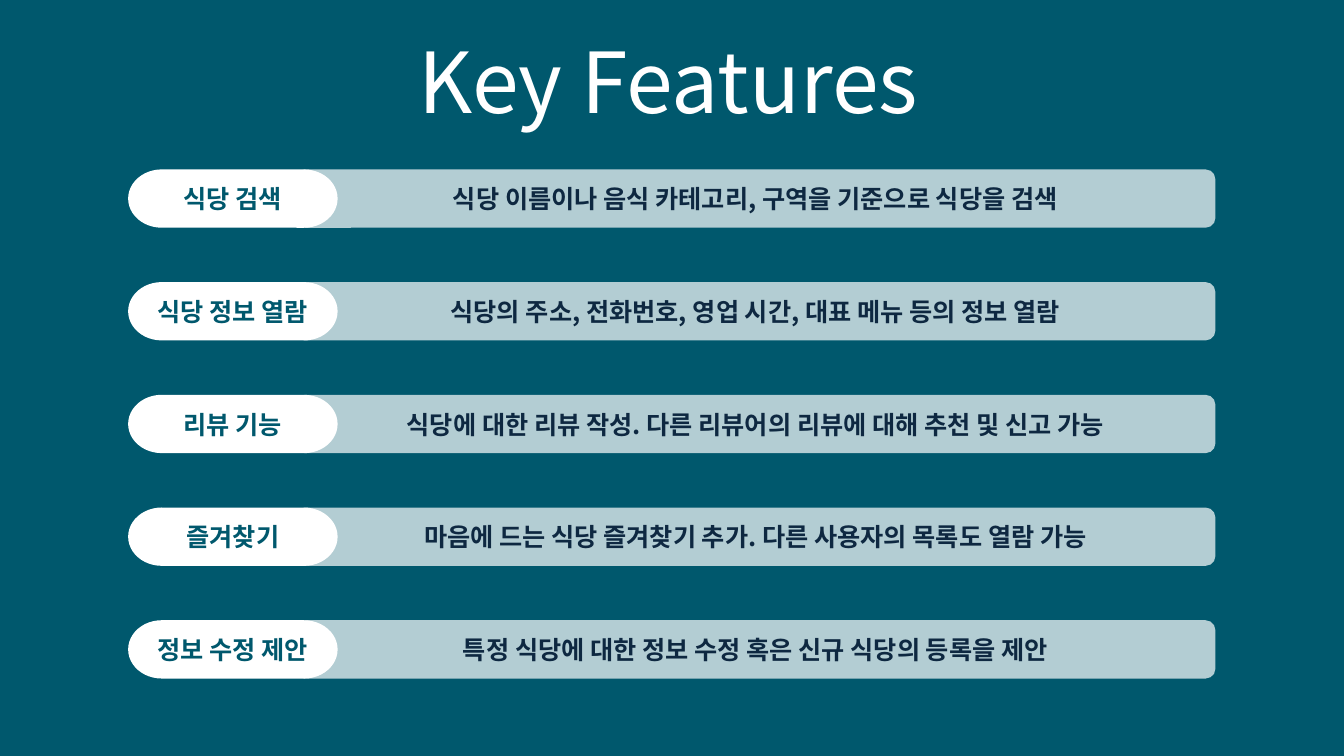
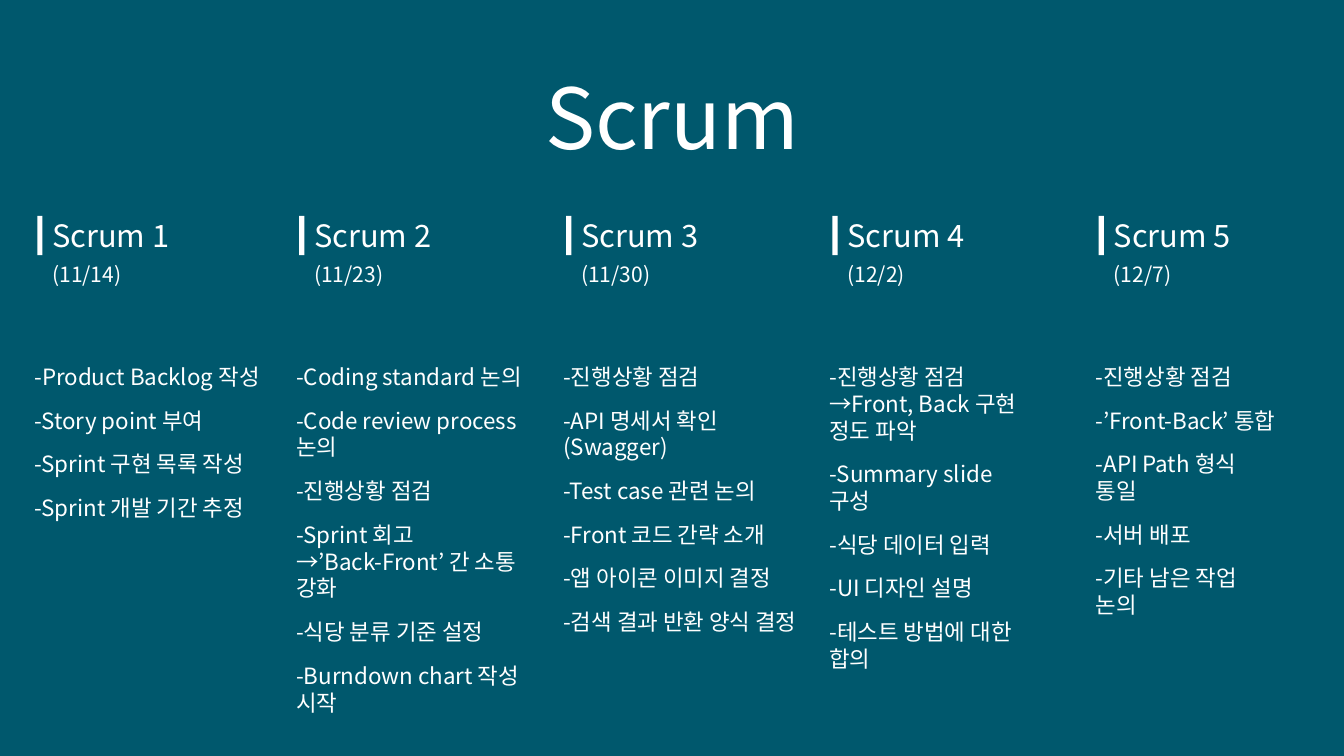
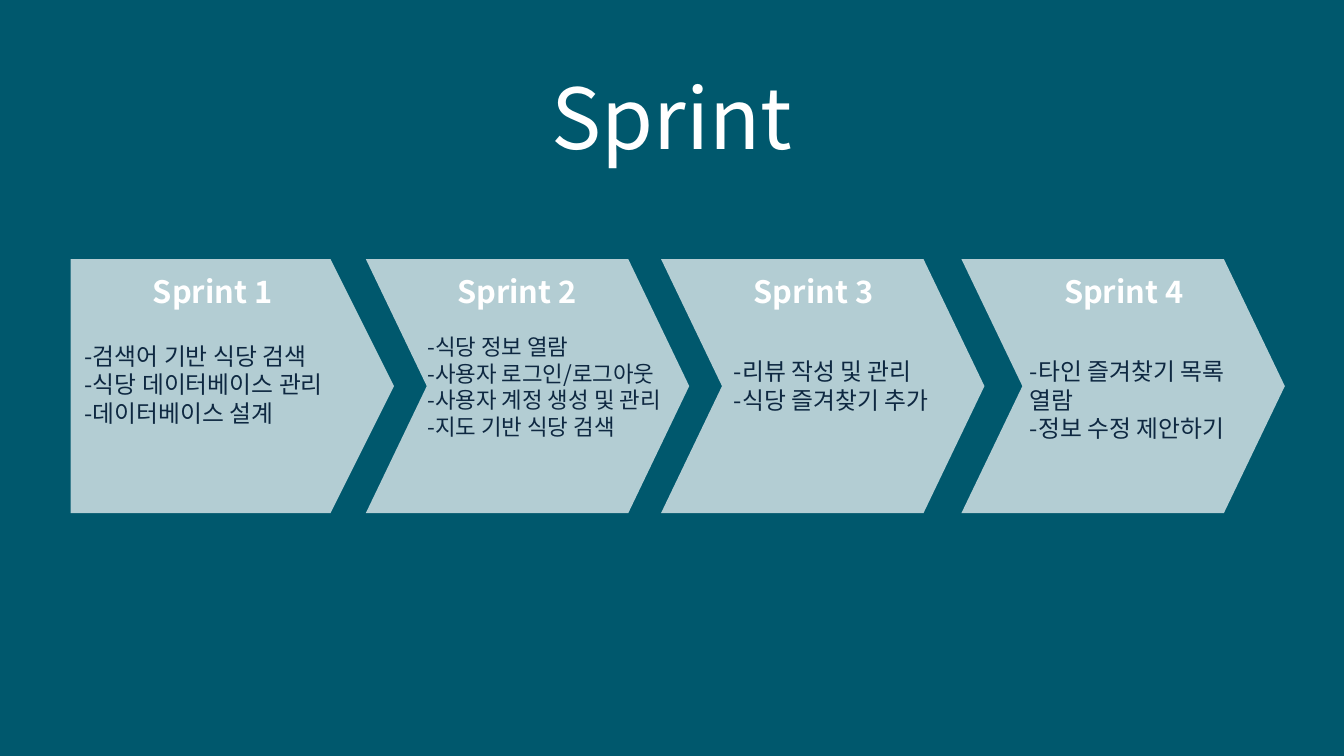
from copy import deepcopy

from lxml import etree
from pptx import Presentation
from pptx import util as u
from pptx.dml.color import RGBColor
from pptx.enum import shapes, text
from pptx.oxml.ns import qn

FONT = "Noto Sans CJK KR"
COLORS = {"teal": "00586D", "white": "FFFFFF", "navy": "0E2841"}
BAND_OPACITY = 70
LEFT, CENTER = text.PP_ALIGN.LEFT, text.PP_ALIGN.CENTER
TOP, MIDDLE = text.MSO_ANCHOR.TOP, text.MSO_ANCHOR.MIDDLE
SHAPE = shapes.MSO_SHAPE

FEATURES = [
    ("식당 검색", "식당 이름이나 음식 카테고리, 구역을 기준으로 식당을 검색"),
    ("식당 정보 열람", "식당의 주소, 전화번호, 영업 시간, 대표 메뉴 등의 정보 열람"),
    ("리뷰 기능", "식당에 대한 리뷰 작성. 다른 리뷰어의 리뷰에 대해 추천 및 신고 가능"),
    ("즐겨찾기", "마음에 드는 식당 즐겨찾기 추가. 다른 사용자의 목록도 열람 가능"),
    ("정보 수정 제안", "특정 식당에 대한 정보 수정 혹은 신규 식당의 등록을 제안"),
]

SCRUMS = [
    (0.94, 6.4, "11/14", ["-Product Backlog 작성", "-Story point 부여",
                          "-Sprint 구현 목록 작성", "-Sprint 개발 기간 추정"]),
    (7.54, 6.96, "11/23", ["-Coding standard 논의", "-Code review process 논의",
                           "-진행상황 점검", "-Sprint 회고",
                           "→’Back-Front’ 간 소통 강화", "-식당 분류 기준 설정",
                           "-Burndown chart 작성 시작"]),
    (14.27, 6.68, "11/30", ["-진행상황 점검", "-API 명세서 확인(Swagger)",
                            "-Test case 관련 논의", "-Front 코드 간략 소개",
                            "-앱 아이콘 이미지 결정", "-검색 결과 반환 양식 결정"]),
    (20.98, 5.46, "12/2", ["-진행상황 점검", "→Front, Back 구현 정도 파악",
                           "-Summary slide 구성", "-식당 데이터 입력",
                           "-UI 디자인 설명", "-테스트 방법에 대한 합의"]),
    (27.69, 5.11, "12/7", ["-진행상황 점검", "-’Front-Back’ 통합",
                           "-API Path 형식 통일", "-서버 배포",
                           "-기타 남은 작업 논의"]),
]

SPRINTS = [
    (1.78, 3.33, (1.88, 8.48, 7.34), 17,
     ["-검색어 기반 식당 검색", "-식당 데이터베이스 관리", "-데이터베이스 설계"]),
    (9.22, 11.0, (10.52, 8.26, 6.86), 16,
     ["-식당 정보 열람", "-사용자 로그인/로그아웃", "-사용자 계정 생성 및 관리",
      "-지도 기반 식당 검색"]),
    (16.66, 18.47, (18.24, 8.86, 7.34), 17,
     ["-리뷰 작성 및 관리", "-식당 즐겨찾기 추가"]),
    (24.23, 26.29, (25.7, 8.86, 6.4), 17,
     ["-타인 즐겨찾기 목록 열람", "-정보 수정 제안하기"]),
]


def rgb(name):
    return RGBColor.from_string(COLORS[name])


def place(holder, x, y, w, h):
    holder.left, holder.top, holder.width, holder.height = map(u.Cm, (x, y, w, h))


def style_paragraph(paragraph, size, color, align, bold=False, before=0):
    properties = paragraph._p.get_or_add_pPr()
    properties.set("marL", "0")
    properties.set("indent", "0")
    etree.SubElement(properties, qn("a:buNone"))
    paragraph.alignment = align
    paragraph.space_before = u.Pt(before)
    font = paragraph.font
    font.size, font.bold, font.name = u.Pt(size), bold, FONT
    font.color.rgb = rgb(color)
    east_asian = etree.SubElement(properties.find(qn("a:defRPr")), qn("a:ea"))
    east_asian.set("typeface", FONT)


def write(holder, lines, size, color, align=LEFT, bold=False, gap=0, anchor=TOP):
    frame = holder.text_frame
    frame.word_wrap = True
    frame.auto_size = text.MSO_AUTO_SIZE.NONE
    frame.vertical_anchor = anchor
    for index, line in enumerate(lines):
        paragraph = frame.paragraphs[0] if index == 0 else frame.add_paragraph()
        paragraph.text = line
        before = gap if index and not line.startswith("→") else 0
        style_paragraph(paragraph, size, color, align, bold, before)
    return frame


def add_label(slide, box, lines, size, **style):
    label = slide.shapes.add_textbox(*map(u.Cm, box))
    return write(label, lines, size, "white", **style)


def add_block(slide, kind, box, opacity=100):
    block = slide.shapes.add_shape(kind, *map(u.Cm, box))
    block.shadow.inherit = False
    block.line.fill.background()
    block.fill.solid()
    block.fill.fore_color.rgb = rgb("white")
    if opacity < 100:
        tint = block._element.spPr.find(qn("a:solidFill"))[0]
        etree.SubElement(tint, qn("a:alpha")).set("val", str(opacity * 1000))
    return block


def add_titled_slide(deck, layout, title, x=6.17, y=1.52):
    slide = deck.slides.add_slide(layout)
    place(slide.shapes.title, x, y, 21.54, 2.82)
    write(slide.shapes.title, [title], 60, "white", CENTER)
    bodies = [holder for holder in slide.placeholders
              if holder.placeholder_format.idx]
    return slide, bodies


def five_list_layout(deck):
    layout = deck.slide_layouts.get_by_name("Comparison")
    last_list = next(holder for holder in layout.placeholders
                     if holder.placeholder_format.idx == 4)
    fifth = deepcopy(last_list._element)
    fifth.xpath(".//p:cNvPr")[0].set("id", "20")
    fifth.xpath(".//p:ph")[0].set("idx", "13")
    last_list._element.addnext(fifth)
    return layout


def build_features(deck):
    layout = deck.slide_layouts.get_by_name("Title Only")
    slide, _ = add_titled_slide(deck, layout, "Key Features", 6.07, 0.61)
    for row, (name, description) in enumerate(FEATURES):
        y = 4.27 + 2.84 * row
        band = add_block(slide, SHAPE.ROUNDED_RECTANGLE, (7.44, y, 23.19, 1.47),
                         BAND_OPACITY)
        write(band, [description], 18, "navy", CENTER, True, anchor=MIDDLE)
        pill = add_block(slide, SHAPE.FLOWCHART_TERMINATOR, (3.23, y, 5.28, 1.47))
        write(pill, [name], 18, "teal", CENTER, True, anchor=MIDDLE)


def build_scrums(deck, layout):
    slide, bodies = add_titled_slide(deck, layout, "Scrum")
    for number, (column, body) in enumerate(zip(SCRUMS, bodies), 1):
        x, width, date, topics = column
        add_block(slide, SHAPE.RECTANGLE, (x, 5.44, 0.13, 0.99))
        heading = add_label(slide, (x + 0.13, 5.33, 5.1, 2.13),
                            [f"Scrum {number}", f"({date})"], 22, gap=6)
        heading.paragraphs[1].font.size = u.Pt(15)
        place(body, x - 0.33, 9.02, width, 9.25)
        write(body, topics, 16, "white", gap=12)


def build_sprints(deck, layout):
    slide, bodies = add_titled_slide(deck, layout, "Sprint")
    for number, (sprint, body) in enumerate(zip(SPRINTS, bodies), 1):
        arrow_x, heading_x, (x, y, width), size, tasks = sprint
        kind, point = (SHAPE.PENTAGON, 0.25) if number == 1 else (SHAPE.CHEVRON, 0.24)
        arrow = add_block(slide, kind, (arrow_x, 6.53, 8.15, 6.4), BAND_OPACITY)
        arrow.adjustments[0] = point
        add_label(slide, (heading_x, 6.76, 4.06, 1.19), [f"Sprint {number}"], 22,
                  align=CENTER, bold=True)
        place(body, x, y, width, 3)
        write(body, tasks, size, "navy")
        slide.shapes._spTree.append(body._element)
    for unused in bodies[len(SPRINTS):]:
        unused._element.getparent().remove(unused._element)


def main():
    deck = Presentation()
    deck.slide_width, deck.slide_height = u.Cm(33.87), u.Cm(19.05)
    backdrop = deck.slide_master.background.fill
    backdrop.solid()
    backdrop.fore_color.rgb = rgb("teal")
    lists = five_list_layout(deck)
    build_features(deck)
    build_scrums(deck, lists)
    build_sprints(deck, lists)
    deck.save("out.pptx")


if __name__ == "__main__":
    main()
